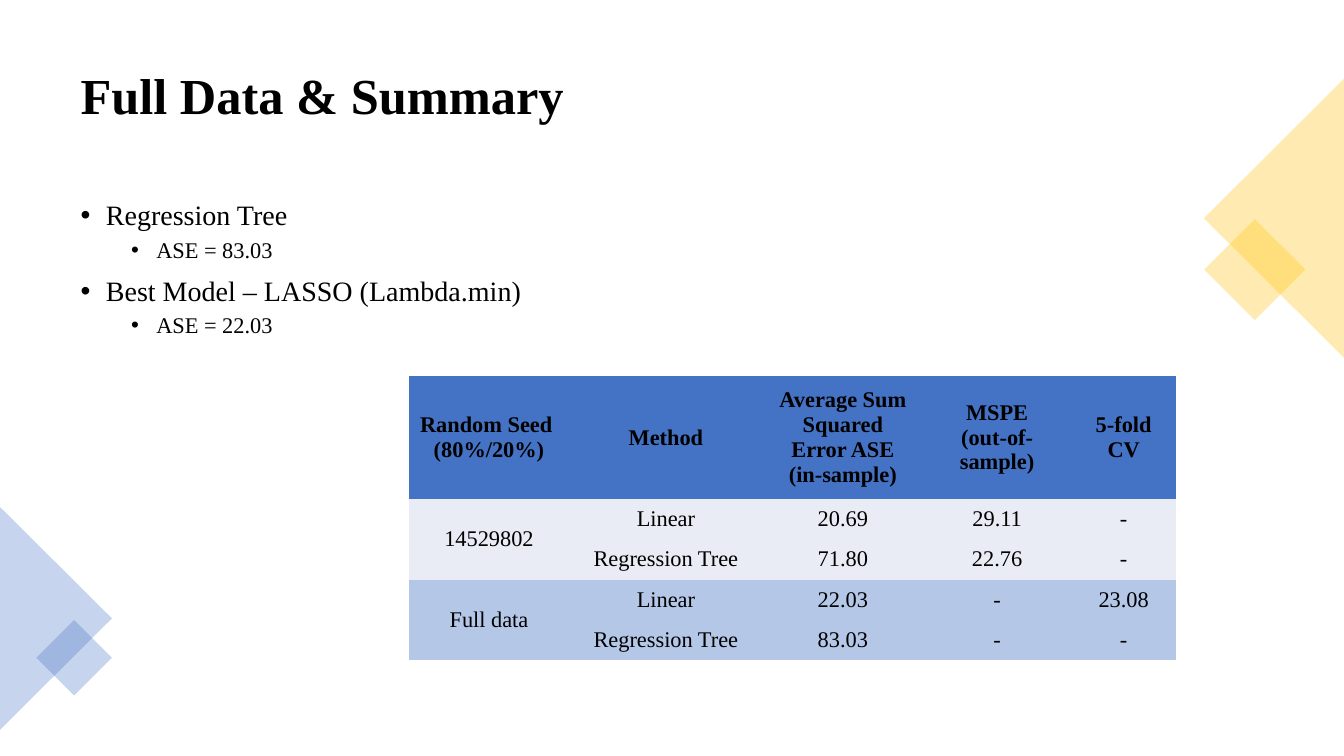
from lxml import etree
from pptx import Presentation
from pptx import util as u
from pptx.dml import color
from pptx.enum import shapes, text
from pptx.oxml import ns

FONT = "Times New Roman"
BLACK, BLUE, GOLD = "000000", "4472C4", "FFC000"
PALE, LIGHT_BLUE = "E9EBF5", "B4C7E7"
NO_GRID_STYLE = "{2D5ABB26-0587-4C30-8999-92F81FD0307C}"


def paint(target, hex_value):
    target.solid()
    target.fore_color.rgb = color.RGBColor.from_string(hex_value)


def apply(target, formats):
    for attribute, value in formats.items():
        setattr(target, attribute, value)


def place(placeholder, left, top, width, height):
    apply(placeholder, dict(left=u.Inches(left), top=u.Inches(top),
                            width=u.Inches(width), height=u.Inches(height)))


def write(paragraph, words, size, bold=False, **formats):
    paragraph.text = words
    apply(paragraph, formats)
    for run in paragraph.runs:
        apply(run.font, dict(name=FONT, size=u.Pt(size), bold=bold))
        paint(run.font.fill, BLACK)


def add_bullet(paragraph, margin, hanging):
    properties = paragraph._p.get_or_add_pPr()
    properties.set("marL", str(u.Inches(margin)))
    properties.set("indent", str(-u.Inches(hanging)))
    etree.SubElement(properties, ns.qn("a:buFont"), typeface="Arial")
    etree.SubElement(properties, ns.qn("a:buChar"), char="•")


def fill_title(title, words):
    place(title, 0.7, 0.35, 11.93, 1.24)
    apply(title.text_frame, dict(vertical_anchor=text.MSO_ANCHOR.MIDDLE,
                                 auto_size=text.MSO_AUTO_SIZE.NONE))
    write(title.text_frame.paragraphs[0], words, 36, True,
          alignment=text.PP_ALIGN.LEFT, line_spacing=0.9)


def fill_findings(body, findings):
    place(body, 0.7, 1.95, 11.93, 4.81)
    frame = body.text_frame
    frame.auto_size = text.MSO_AUTO_SIZE.NONE
    for index, (level, words) in enumerate(findings):
        paragraph = frame.add_paragraph() if index else frame.paragraphs[0]
        size, before = ((20, 10), (16, 5))[level]
        write(paragraph, words, size, level=level, line_spacing=0.9,
              space_before=u.Pt(before))
        add_bullet(paragraph, 0.25 + 0.5 * level, 0.25)


def add_ornament(slide, preset, box, rotation, hex_value):
    ornament = slide.shapes.add_shape(preset, *map(u.Inches, box))
    ornament.rotation = rotation
    ornament.shadow.inherit = False
    ornament.line.fill.background()
    paint(ornament.fill, hex_value)
    tint = ornament._element.spPr.find(".//" + ns.qn("a:srgbClr"))
    etree.SubElement(tint, ns.qn("a:alpha"), val="30000")


def add_results(slide, rows, row_fills, widths, heights):
    frame = slide.shapes.add_table(
        len(rows), len(widths), u.Inches(4.06), u.Inches(3.73),
        u.Inches(sum(widths)), u.Inches(sum(heights)))
    results = frame.table
    results._tbl.tblPr.find(ns.qn("a:tableStyleId")).text = NO_GRID_STYLE
    for column, width in zip(results.columns, widths):
        column.width = u.Inches(width)
    for r, (values, height) in enumerate(zip(rows, heights)):
        results.rows[r].height = u.Inches(height)
        for c, value in enumerate(values):
            cell = results.cell(r, c)
            cell.vertical_anchor = text.MSO_ANCHOR.MIDDLE
            paint(cell.fill, row_fills[r])
            write(cell.text_frame.paragraphs[0], value, 16, r == 0,
                  alignment=text.PP_ALIGN.CENTER)
    for first in (1, 3):
        results.cell(first, 0).merge(results.cell(first + 1, 0))


def main():
    deck = Presentation()
    apply(deck, dict(slide_width=u.Inches(13.33), slide_height=u.Inches(7.5)))
    slide = deck.slides.add_slide(deck.slide_layouts[1])
    fill_title(slide.shapes.title, "Full Data & Summary")
    fill_findings(slide.placeholders[1], [
        (0, "Regression Tree"),
        (1, "ASE = 83.03"),
        (0, "Best Model – LASSO (Lambda.min)"),
        (1, "ASE = 22.03"),
    ])

    square = shapes.MSO_SHAPE.RECTANGLE
    triangle = shapes.MSO_SHAPE.ISOSCELES_TRIANGLE
    for ornament in (
        (square, (12.09, 2.32, 0.71, 0.71), 45, GOLD),
        (triangle, (11.25, 1.47, 2.77, 1.39), 270, GOLD),
        (triangle, (-0.55, 5.58, 2.21, 1.11), 90, BLUE),
        (square, (0.47, 6.26, 0.53, 0.53), 45, BLUE),
    ):
        add_ornament(slide, *ornament)

    rows = [
        ("Random Seed\u00a0\v(80%/20%)", "Method",
         "Average Sum Squared Error ASE\v(in-sample)",
         "MSPE\v(out-of-sample)", "5-fold CV"),
        ("14529802", "Linear", "20.69", "29.11", "-"),
        ("", "Regression Tree", "71.80", "22.76", "-"),
        ("Full data", "Linear", "22.03", "-", "23.08"),
        ("", "Regression Tree", "83.03", "-", "-"),
    ]
    row_fills = [BLUE] + [PALE] * 2 + [LIGHT_BLUE] * 2
    add_results(slide, rows, row_fills, [1.58, 1.93, 1.58, 1.48, 1.03],
                [1.22] + [0.4] * 4)
    deck.save("out.pptx")


main()
